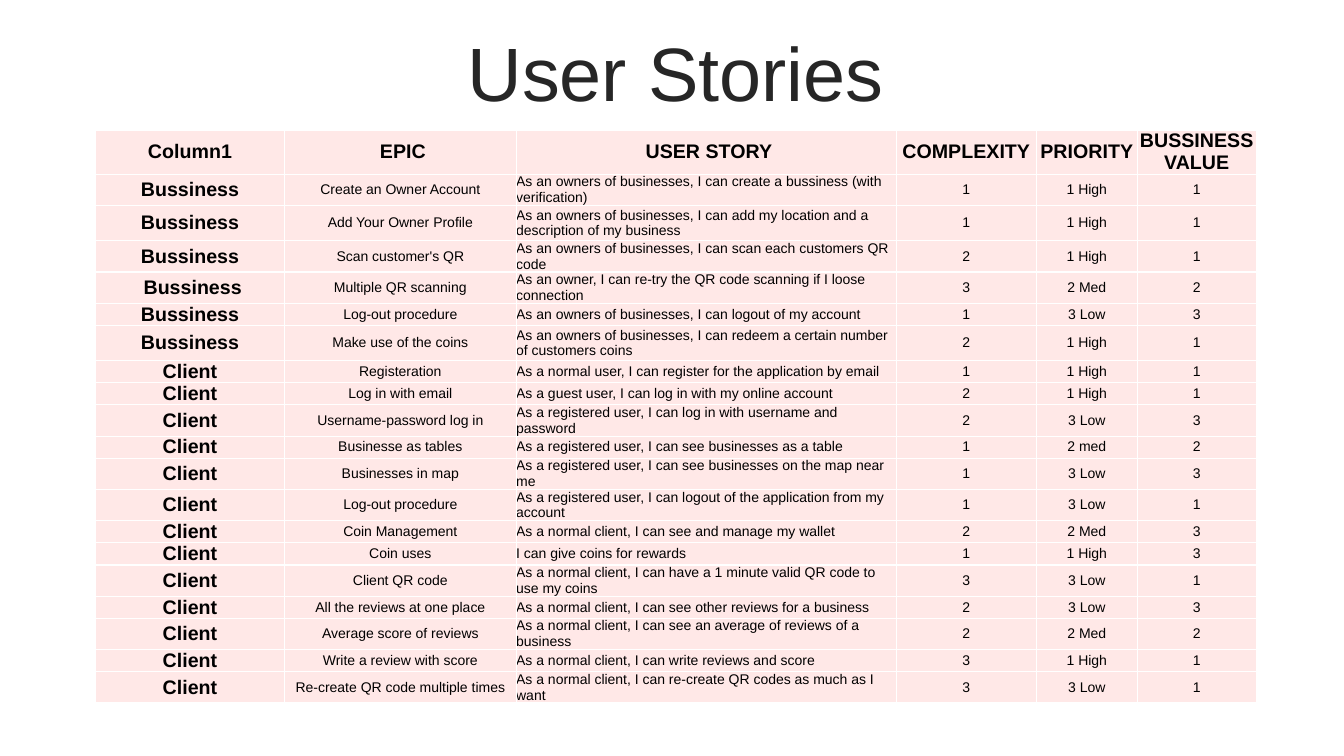
from typing import NamedTuple

from lxml.etree import SubElement
from pptx import Presentation
from pptx.dml.color import RGBColor
from pptx.enum.text import MSO_ANCHOR, MSO_AUTO_SIZE, PP_ALIGN
from pptx.oxml.ns import qn
from pptx.slide import Slide
from pptx.table import _Cell
from pptx.text.text import TextFrame
from pptx.util import Emu, Pt

PX = 9144
FONT = "Arial"
BLACK = RGBColor(0x00, 0x00, 0x00)
CHARCOAL = RGBColor(0x26, 0x26, 0x26)
PINK = RGBColor(0xFF, 0xE8, 0xE7)
WHITE = RGBColor(0xFF, 0xFF, 0xFF)


class Story(NamedTuple):
    role: str
    epic: str
    story: str
    complexity: str
    priority: str
    value: str
    height: int = 17


class Column(NamedTuple):
    heading: str
    width: int
    align: PP_ALIGN = PP_ALIGN.CENTER


COLUMNS = [
    Column("Column1", 187),
    Column(" EPIC", 230),
    Column(" USER STORY", 377, PP_ALIGN.LEFT),
    Column("COMPLEXITY", 139),
    Column("PRIORITY", 100),
    Column("BUSSINESS VALUE", 118),
]

STORIES = [
    Story("Bussiness", "Create an Owner Account",
          "As an owners of businesses, I can create a bussiness (with verification)", "1", "1 High", "1"),
    Story("Bussiness", "Add Your Owner Profile",
          "As an owners of businesses, I can add my location and a description of my business",
          "1", "1 High", "1", 35),
    Story("Bussiness", "Scan customer's QR",
          "As an owners of businesses, I can scan each customers QR code", "2", "1 High", "1"),
    Story(" Bussiness", "Multiple QR scanning",
          "As an owner, I can re-try the QR code scanning if I loose connection", "3", "2 Med", "2"),
    Story("Bussiness", "Log-out procedure",
          "As an owners of businesses, I can logout of my account", "1", "3 Low", "3"),
    Story("Bussiness", "Make use of the coins",
          "As an owners of businesses, I can redeem a certain number of customers coins",
          "2", "1 High", "1", 35),
    Story("Client", "Registeration",
          "As a normal user, I can register for the application by email", "1", "1 High", "1"),
    Story("Client", "Log in with email",
          "As a guest user, I can log in with my online account", "2", "1 High", "1"),
    Story("Client", "Username-password log in",
          "As a registered user, I can log in with username and password", "2", "3 Low", "3"),
    Story("Client", "Businesse as tables",
          "As a registered user, I can see businesses as a table", "1", "2 med", "2"),
    Story("Client", "Businesses in map",
          "As a registered user, I can see businesses on the map near me", "1", "3 Low", "3"),
    Story("Client", "Log-out procedure",
          "As a registered user, I can logout of the application from my account", "1", "3 Low", "1"),
    Story("Client", "Coin Management",
          "As a normal client, I can see and manage my wallet", "2", "2 Med", "3"),
    Story("Client", "Coin uses", "I can give coins for rewards", "1", "1 High", "3"),
    Story("Client", "Client QR code",
          "As a normal client, I can have a 1 minute valid QR code to use my coins", "3", "3 Low", "1"),
    Story("Client", "All the reviews at one place",
          "As a normal client, I can see other reviews for a business", "2", "3 Low", "3"),
    Story("Client", "Average score of reviews",
          "As a normal client, I can see an average of reviews of a business", "2", "2 Med", "2"),
    Story("Client", "Write a review with score",
          "As a normal client, I can write reviews and score", "3", "1 High", "1"),
    Story("Client", "Re-create QR code multiple times",
          "As a normal client, I can re-create QR codes as much as I want", "3", "3 Low", "1"),
]


def px(length: int) -> Emu:
    return Emu(length * PX)


def write(frame: TextFrame, text: str, *, size: int, color: RGBColor = BLACK,
          bold: bool = False, align: PP_ALIGN = PP_ALIGN.CENTER,
          line_spacing: float = 1.0, space_before: int = 0) -> None:
    paragraph = frame.paragraphs[0]
    paragraph.alignment = align
    paragraph.line_spacing = line_spacing
    paragraph.space_before = Pt(space_before)
    run = paragraph.add_run()
    run.text = text
    run.font.name = FONT
    run.font.size = Pt(size)
    run.font.bold = bold
    run.font.color.rgb = color


def style_cell(cell: _Cell) -> None:
    cell.margin_left = cell.margin_right = cell.margin_top = cell.margin_bottom = 0
    cell.vertical_anchor = MSO_ANCHOR.MIDDLE
    properties = cell._tc.get_or_add_tcPr()
    for side in ("a:lnL", "a:lnR", "a:lnT", "a:lnB"):
        border = SubElement(properties, qn(side), w=str(Pt(1)))
        border_fill = SubElement(border, qn("a:solidFill"))
        SubElement(border_fill, qn("a:srgbClr"), val=str(WHITE))
    cell.fill.solid()
    cell.fill.fore_color.rgb = PINK


def add_heading(slide: Slide) -> None:
    heading = slide.shapes.title
    heading.left, heading.top, heading.width, heading.height = map(px, (37, 37, 1266, 79))
    heading.text_frame.auto_size = MSO_AUTO_SIZE.NONE
    heading.text_frame.vertical_anchor = MSO_ANCHOR.MIDDLE
    write(heading.text_frame, "User Stories", size=54, color=CHARCOAL,
          line_spacing=0.9, space_before=10)


def add_backlog(slide: Slide) -> None:
    headings = Story(*(column.heading for column in COLUMNS), height=32)
    entries = [headings, *STORIES]
    backlog_frame = slide.shapes.add_table(
        len(entries), len(COLUMNS), px(95), px(129), px(1150), px(603))
    backlog = backlog_frame.table
    backlog.first_row = backlog.horz_banding = False
    for index, column in enumerate(COLUMNS):
        backlog.columns[index].width = px(column.width)
    for row_index, entry in enumerate(entries):
        backlog.rows[row_index].height = px(entry.height)
        for column_index, column in enumerate(COLUMNS):
            emphasized = row_index == 0 or column_index == 0
            cell = backlog.cell(row_index, column_index)
            style_cell(cell)
            write(cell.text_frame, entry[column_index], size=14 if emphasized else 10,
                  bold=emphasized, align=PP_ALIGN.CENTER if emphasized else column.align)
    backlog_frame.height = px(603)


def main() -> None:
    presentation = Presentation()
    presentation.slide_width, presentation.slide_height = px(1333), px(750)
    slide = presentation.slides.add_slide(presentation.slide_layouts[5])
    add_heading(slide)
    add_backlog(slide)
    presentation.save("out.pptx")


if __name__ == "__main__":
    main()
